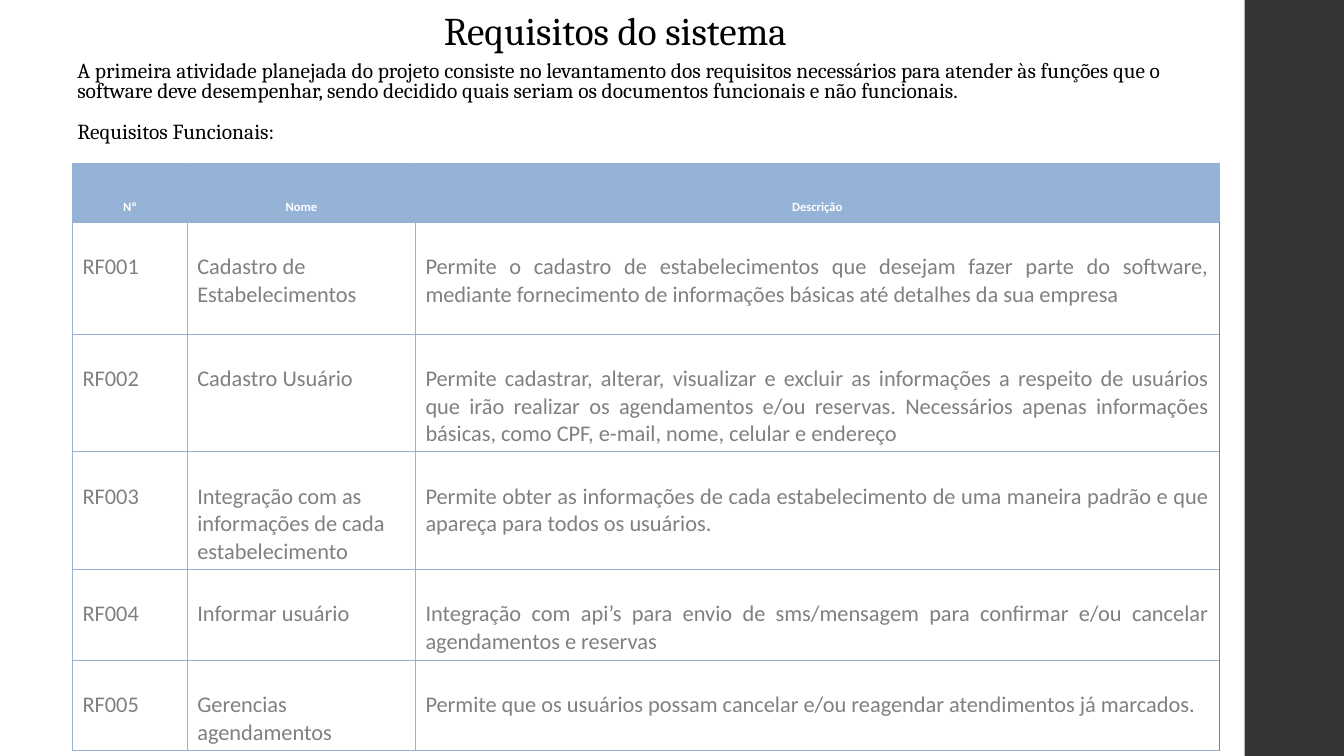
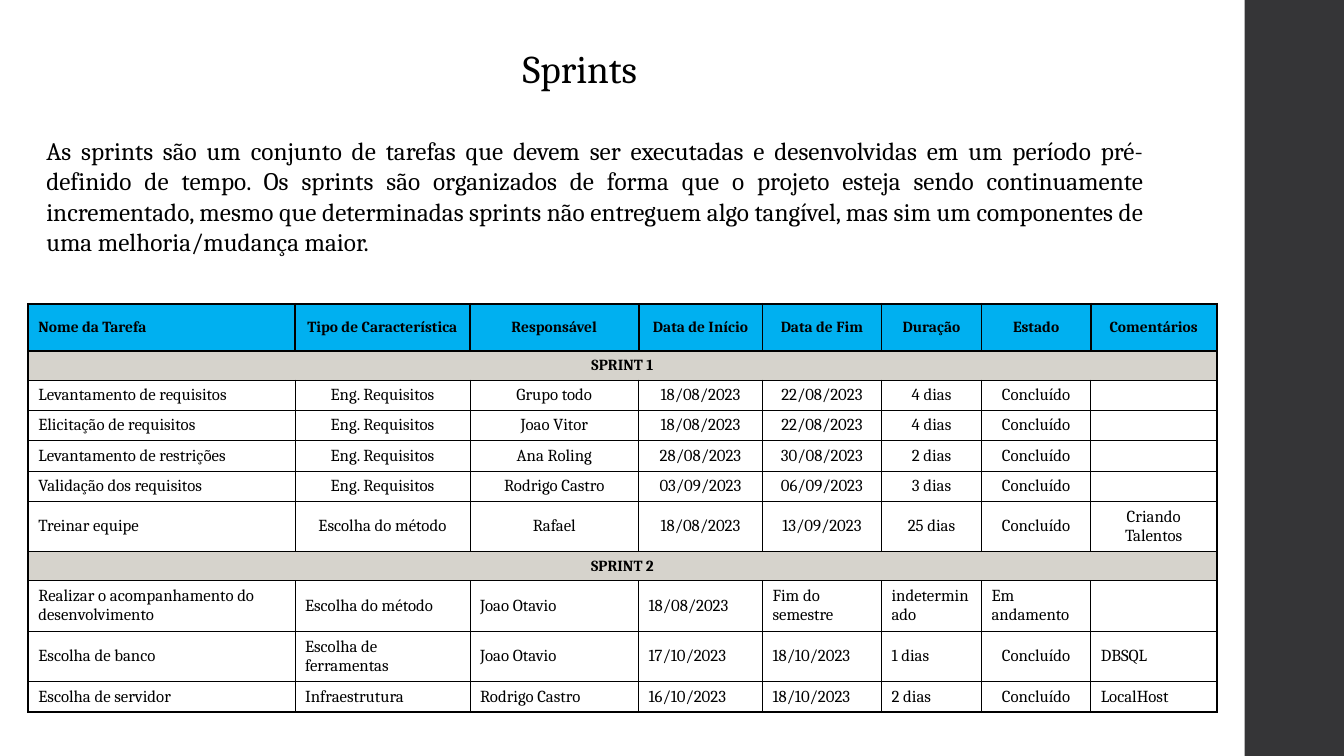
"""Build two slides: system requirements and sprint schedule."""
from lxml import etree
from pptx import Presentation
from pptx.dml.color import RGBColor
from pptx.enum.shapes import MSO_SHAPE
from pptx.enum.text import MSO_ANCHOR, MSO_AUTO_SIZE, PP_ALIGN
from pptx.oxml.ns import qn
from pptx.util import Pt

LEFT, CENTER, JUSTIFY = PP_ALIGN.LEFT, PP_ALIGN.CENTER, PP_ALIGN.JUSTIFY
TOP, MIDDLE, BOTTOM = MSO_ANCHOR.TOP, MSO_ANCHOR.MIDDLE, MSO_ANCHOR.BOTTOM
RECTANGLE = MSO_SHAPE.RECTANGLE
NO_AUTOFIT = MSO_AUTO_SIZE.NONE

COLORS = {
    "black": "000000", "white": "FFFFFF", "gray": "808080", "band": "353537",
    "steel": "95B3D7", "sky": "00B0F0", "sand": "D6D3CC",
}
SERIF, SANS = "Cambria", "Calibri"
SLIDE_WIDTH, SLIDE_HEIGHT = 960, 540
BAND_LEFT, BAND_WIDTH = 889, 72
TITLE_WIDTH, TITLE_HEIGHT = 467, 41
BODY_WIDTH = 798

REQUIREMENTS_TITLE = "Requisitos do sistema"
REQUIREMENTS_INTRO = [
    "A primeira atividade planejada do projeto consiste no levantamento dos requisitos "
    "necessários para atender às funções que o software deve desempenhar, sendo decidido "
    "quais seriam os documentos funcionais e não funcionais.",
    "Requisitos Funcionais:",
]
REQUIREMENT_COLUMNS = [("Nº", 82), ("Nome", 163), ("Descrição", 574)]
REQUIREMENT_HEADER_HEIGHT = 42
REQUIREMENTS = [
    (80, "Cadastro de Estabelecimentos",
     "Permite o cadastro de estabelecimentos que desejam fazer parte do software, mediante "
     "fornecimento de informações básicas até detalhes da sua empresa"),
    (84, "Cadastro Usuário",
     "Permite cadastrar, alterar, visualizar e excluir as informações a respeito de usuários "
     "que irão realizar os agendamentos e/ou reservas. Necessários apenas informações básicas, "
     "como CPF, e-mail, nome, celular e endereço"),
    (84, "Integração com as informações de cada estabelecimento",
     "Permite obter as informações de cada estabelecimento de uma maneira padrão e que apareça "
     "para todos os usuários."),
    (65, "Informar usuário",
     "Integração com api’s para envio de sms/mensagem para confirmar e/ou cancelar "
     "agendamentos e reservas"),
    (64.5, "Gerencias agendamentos",
     "Permite que os usuários possam cancelar e/ou reagendar atendimentos já marcados."),
]

SPRINTS_TITLE = "Sprints"
SPRINTS_INTRO = [
    "As sprints são um conjunto de tarefas que devem ser executadas e desenvolvidas em um "
    "período pré-definido de tempo. Os sprints são organizados de forma que o projeto esteja "
    "sendo continuamente incrementado, mesmo que determinadas sprints não entreguem algo "
    "tangível, mas sim um componentes de uma melhoria/mudança maior.",
]
TASK_COLUMNS = [
    ("Nome da Tarefa", 190.5), ("Tipo de Característica", 125), ("Responsável", 120.5),
    ("Data de Início", 88.5), ("Data de Fim", 85), ("Duração", 71.5), ("Estado", 78),
    ("Comentários", 90),
]
TASK_HEADER_HEIGHT, SPRINT_HEIGHT, ONE_LINE, TWO_LINES = 33.8, 20.7, 21.6, 36
DONE = "Concluído"
SPRINTS = [
    ("SPRINT 1", CENTER, [
        (ONE_LINE, "Levantamento de requisitos", "Eng. Requisitos", "Grupo todo",
         "18/08/2023", "22/08/2023", "4 dias", DONE, ""),
        (ONE_LINE, "Elicitação de requisitos", "Eng. Requisitos", "Joao Vitor",
         "18/08/2023", "22/08/2023", "4 dias", DONE, ""),
        (ONE_LINE, "Levantamento de restrições", "Eng. Requisitos", "Ana Roling",
         "28/08/2023", "30/08/2023", "2 dias", DONE, ""),
        (ONE_LINE, "Validação dos requisitos", "Eng. Requisitos", "Rodrigo Castro",
         "03/09/2023", "06/09/2023", "3 dias", DONE, ""),
        (TWO_LINES, "Treinar equipe", "Escolha do método", "Rafael",
         "18/08/2023", "13/09/2023", "25 dias", DONE, "Criando Talentos"),
    ]),
    ("SPRINT 2", LEFT, [
        (TWO_LINES, "Realizar o acompanhamento do desenvolvimento", "Escolha do método",
         "Joao Otavio", "18/08/2023", "Fim do semestre", "indeterminado", "Em andamento", ""),
        (TWO_LINES, "Escolha de banco", "Escolha de ferramentas", "Joao Otavio",
         "17/10/2023", "18/10/2023", "1 dias", DONE, "DBSQL"),
        (ONE_LINE, "Escolha de servidor", "Infraestrutura", "Rodrigo Castro",
         "16/10/2023", "18/10/2023", "2 dias", DONE, "LocalHost"),
    ]),
]


def rgb(name):
    return RGBColor.from_string(COLORS[name])


def write_text(frame, paragraphs, size=12, font=SERIF, color="black", bold=False, align=LEFT,
               anchor=TOP, line_spacing=1.0, gap_before=0, gap_after=0):
    frame.word_wrap = True
    frame.vertical_anchor = anchor
    for index, text in enumerate(paragraphs):
        paragraph = frame.add_paragraph() if index else frame.paragraphs[0]
        paragraph.alignment = align
        paragraph.line_spacing = line_spacing
        paragraph.space_before = Pt(gap_before if index else 0)
        paragraph.space_after = Pt(gap_after)
        if not text:
            end = etree.SubElement(paragraph._p, qn("a:endParaRPr"))
            end.set("sz", str(int(size * 100)))
            continue
        run = paragraph.add_run()
        run.text = text
        run.font.size = Pt(size)
        run.font.name = font
        run.font.bold = bold
        run.font.color.rgb = rgb(color)


def add_band(slide, layout):
    band = slide.shapes.add_shape(RECTANGLE, Pt(BAND_LEFT), 0, Pt(BAND_WIDTH), Pt(SLIDE_HEIGHT))
    band.shadow.inherit = False
    band.fill.solid()
    band.fill.fore_color.rgb = rgb("band")
    band.line.fill.background()
    band.element.nvSpPr.cNvPr.set("id", "99")
    layout.shapes.element.append(band.element)


def add_titled_slide(presentation, layout, title, left, top):
    slide = presentation.slides.add_slide(layout)
    shape = slide.shapes.title
    shape.left, shape.top = Pt(left), Pt(top)
    shape.width, shape.height = Pt(TITLE_WIDTH), Pt(TITLE_HEIGHT)
    write_text(shape.text_frame, [title], size=28, align=CENTER, anchor=MIDDLE)
    shape.text_frame.auto_size = NO_AUTOFIT
    return slide


def add_body(slide, paragraphs, left, top, height, **text_format):
    box = slide.shapes.add_textbox(Pt(left), Pt(top), Pt(BODY_WIDTH), Pt(height))
    write_text(box.text_frame, paragraphs, **text_format)


def add_grid(slide, left, top, widths, heights):
    frame = slide.shapes.add_table(len(heights), len(widths), Pt(left), Pt(top),
                                   Pt(sum(widths)), Pt(sum(heights)))
    table = frame.table
    table.first_row = table.horz_banding = False
    for column, width in zip(table.columns, widths):
        column.width = Pt(width)
    for row, height in zip(table.rows, heights):
        row.height = Pt(height)
    return table


def fill_cell(cell, text, borders, fill="white", margin_top=3.6, margin_bottom=3.6,
              **text_format):
    """Fill a cell; borders holds (color, width) for left, right, top, bottom."""
    cell.margin_left = cell.margin_right = Pt(7.2)
    cell.margin_top, cell.margin_bottom = Pt(margin_top), Pt(margin_bottom)
    cell.fill.solid()
    cell.fill.fore_color.rgb = rgb(fill)
    write_text(cell.text_frame, [text], **text_format)
    cell.vertical_anchor = text_format.get("anchor", TOP)
    properties = cell._tc.get_or_add_tcPr()
    for index, (side, (color, width)) in enumerate(zip("LRTB", borders)):
        line = etree.Element(qn(f"a:ln{side}"), w=str(Pt(width)))
        solid = etree.SubElement(line, qn("a:solidFill"))
        etree.SubElement(solid, qn("a:srgbClr"), val=COLORS[color])
        properties.insert(index, line)


def add_requirements_table(slide):
    names, widths = zip(*REQUIREMENT_COLUMNS)
    heights = [REQUIREMENT_HEADER_HEIGHT] + [height for height, *_ in REQUIREMENTS]
    table = add_grid(slide, 51.8, 116.6, widths, heights)
    steel = ("steel", 0.75)
    for column, name in enumerate(names):
        fill_cell(table.cell(0, column), name, [steel] * 4, fill="steel", margin_bottom=5,
                  size=9, font=SANS, color="white", bold=True, align=CENTER, anchor=BOTTOM)
    last = len(names) - 1
    for row, (_, name, description) in enumerate(REQUIREMENTS, 1):
        for column, text in enumerate((f"RF{row:03}", name, description)):
            right = ("gray", 0.75) if column == last else steel
            fill_cell(table.cell(row, column), text, [steel, right, steel, steel],
                      margin_top=22.5, margin_bottom=2, size=16, font=SANS, color="gray",
                      align=JUSTIFY if column == last else LEFT)


def add_sprints_table(slide):
    names, widths = zip(*TASK_COLUMNS)
    rows = [("header", CENTER, TASK_HEADER_HEIGHT, names)]
    for sprint, align, tasks in SPRINTS:
        rows.append(("sprint", CENTER, SPRINT_HEIGHT, [sprint]))
        rows += [("task", align, height, texts) for height, *texts in tasks]
    table = add_grid(slide, 20.2, 217, widths, [height for _, _, height, _ in rows])
    last_row, last_column = len(rows) - 1, len(names) - 1
    fills = {"header": "sky", "sprint": "sand", "task": "white"}
    for row, (kind, row_align, _, texts) in enumerate(rows):
        header = kind == "header"
        if kind == "sprint":
            table.cell(row, 0).merge(table.cell(row, last_column))
        for column, text in enumerate(texts):
            thick = (header or column == 0, header or column == len(texts) - 1,
                     row <= 1, header or row == last_row)
            borders = [("black", 1.5 if edge else 0.5) for edge in thick]
            align = CENTER if text == DONE else row_align
            if column == 0 and kind != "sprint":
                align = LEFT
            fill_cell(table.cell(row, column), text, borders, fill=fills[kind],
                      size=12 if kind == "task" else 11, bold=kind != "task",
                      align=align, anchor=MIDDLE)


def main():
    presentation = Presentation()
    presentation.slide_width, presentation.slide_height = Pt(SLIDE_WIDTH), Pt(SLIDE_HEIGHT)
    layout = presentation.slide_layouts[5]

    requirements = add_titled_slide(presentation, layout, REQUIREMENTS_TITLE, 206, 1)
    add_band(requirements, layout)
    add_body(requirements, REQUIREMENTS_INTRO, 48.2, 41.8, 67, size=15.3,
             line_spacing=0.75, gap_before=14, gap_after=2)
    add_requirements_table(requirements)

    sprints = add_titled_slide(presentation, layout, SPRINTS_TITLE, 180.7, 28)
    add_body(sprints, SPRINTS_INTRO, 26, 65.5, 149, size=18, align=JUSTIFY,
             anchor=MIDDLE, gap_after=10)
    add_sprints_table(sprints)

    presentation.save("out.pptx")


if __name__ == "__main__":
    main()
